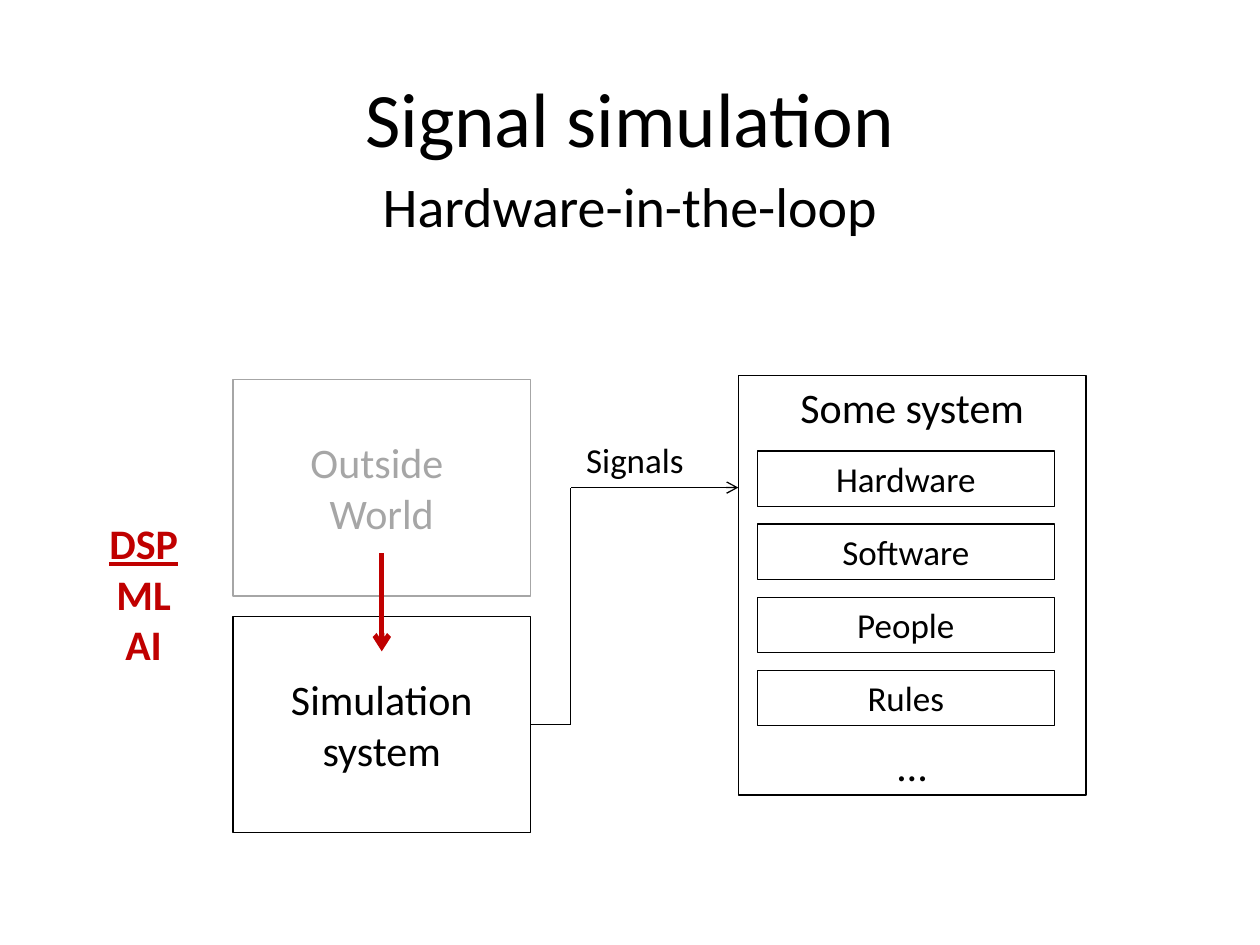
from lxml import etree
from pptx import Presentation
from pptx.dml.color import RGBColor
from pptx.enum.shapes import MSO_CONNECTOR, MSO_SHAPE
from pptx.enum.text import MSO_ANCHOR, PP_ALIGN
from pptx.oxml.ns import qn
from pptx.util import Inches, Pt

BLACK = RGBColor(0x00, 0x00, 0x00)
GREY = RGBColor(0xA6, 0xA6, 0xA6)
RED = RGBColor(0xC0, 0x00, 0x00)
FONT = "Calibri"
TOP, MIDDLE = MSO_ANCHOR.TOP, MSO_ANCHOR.MIDDLE
CENTER = PP_ALIGN.CENTER
RECTANGLE = MSO_SHAPE.RECTANGLE
STRAIGHT = MSO_CONNECTOR.STRAIGHT
RIGHT_SIDE = 3

SLIDE_W, SLIDE_H = 10, 7.5
MARGIN = 0.05 * SLIDE_W
BLOCK_X, BLOCK_W, BLOCK_H = 1.85, 2.36, 1.72
WORLD_Y, BLOCK_PITCH = 3.01, 1.88
SIMULATION_Y = WORLD_Y + BLOCK_PITCH
SYSTEM_X, SYSTEM_Y, SYSTEM_W, SYSTEM_H = 5.86, 2.98, 2.76, 3.33
PART_X, PART_Y, PART_H, PART_PITCH = 6.01, 3.58, 0.44, 0.58
PARTS = ["Hardware", "Software", "People", "Rules"]
ELBOW_X, SIGNAL_Y = 4.53, 3.87
LINE_24 = 29.3  # height of one 24 pt line, in points
INSET = 0.05


def write(shape, *lines, size=24, color=BLACK, bold=None, underlined=(),
          anchor=TOP, inset_top=INSET, gap=0):
    """Fill a shape with centred lines; gap is the space between them in points."""
    frame = shape.text_frame
    frame.word_wrap = True
    frame.vertical_anchor = anchor
    frame.margin_top = Inches(inset_top)
    for index, line in enumerate(lines):
        paragraph = frame.add_paragraph() if index else frame.paragraphs[0]
        paragraph.alignment = CENTER
        if index and gap:
            paragraph.space_before = Pt(gap)
        run = paragraph.add_run()
        run.text = line
        font = run.font
        font.name, font.size, font.bold = FONT, Pt(size), bold
        font.underline = True if line in underlined else None
        font.color.rgb = color


def add_label(slide, x, y, w, h, *lines, **text_format):
    label = slide.shapes.add_textbox(Inches(x), Inches(y), Inches(w), Inches(h))
    write(label, *lines, **text_format)


def add_box(slide, x, y, w, h, *lines, color=BLACK, **text_format):
    """Add an unfilled box whose outline and text share one colour."""
    box = slide.shapes.add_shape(RECTANGLE, Inches(x), Inches(y), Inches(w), Inches(h))
    box.shadow.inherit = False
    box.fill.background()
    box.line.color.rgb = color
    box.line.width = Pt(0.75)
    write(box, *lines, color=color, **text_format)
    return box


def add_line(slide, start, end, color=BLACK, width=0.75, arrow=False):
    line = slide.shapes.add_connector(STRAIGHT, *map(Inches, start + end))
    line.line.color.rgb = color
    line.line.width = Pt(width)
    properties = line._element.spPr
    if arrow:
        outline = properties.find(qn("a:ln"))
        etree.SubElement(outline, qn("a:tailEnd"), type="arrow")
    etree.SubElement(properties, qn("a:effectLst"))
    return line


def add_signal_route(slide, simulation):
    """Lead from the simulation box up to the system in three straight legs."""
    start_y = SIMULATION_Y + BLOCK_H / 2
    points = [(BLOCK_X + BLOCK_W, start_y), (ELBOW_X, start_y),
              (ELBOW_X, SIGNAL_Y), (SYSTEM_X, SIGNAL_Y)]
    legs = [add_line(slide, start, end, arrow=end == points[-1])
            for start, end in zip(points, points[1:])]
    legs[0].begin_connect(simulation, RIGHT_SIDE)


def add_system(slide):
    add_box(slide, SYSTEM_X, SYSTEM_Y, SYSTEM_W, SYSTEM_H,
            "Some system", "…", gap=6 * LINE_24)
    for row, part in enumerate(PARTS):
        add_box(slide, PART_X, PART_Y + row * PART_PITCH, BLOCK_W, PART_H,
                part, size=20)


def main():
    deck = Presentation()
    deck.slide_width, deck.slide_height = Inches(SLIDE_W), Inches(SLIDE_H)
    slide = deck.slides.add_slide(deck.slide_layouts[6])

    heading_w = SLIDE_W - 2 * MARGIN
    add_label(slide, MARGIN, 0.3, heading_w, 1.25, "Signal simulation",
              size=44, anchor=MIDDLE)
    add_label(slide, MARGIN, 1.31, heading_w, 1.34, "Hardware-in-the-loop", size=32)

    one_line_down = INSET + LINE_24 / 72
    add_box(slide, BLOCK_X, WORLD_Y, BLOCK_W, BLOCK_H, "Outside ", "World",
            color=GREY, inset_top=one_line_down)
    simulation = add_box(slide, BLOCK_X, SIMULATION_Y, BLOCK_W, BLOCK_H,
                         "Simulation system", inset_top=one_line_down)
    add_system(slide)

    add_signal_route(slide, simulation)
    add_label(slide, 3.86, SIGNAL_Y - PART_H, BLOCK_W, PART_H, "Signals", size=20)

    block_center = BLOCK_X + BLOCK_W / 2
    add_line(slide, (block_center, 4.39), (block_center, 5.17),
             color=RED, width=3, arrow=True)
    add_label(slide, 0.43, 4.06, 1.42, 1.31, "DSP", "ML", "AI",
              color=RED, bold=True, underlined=("DSP",))

    deck.save("out.pptx")


if __name__ == "__main__":
    main()
